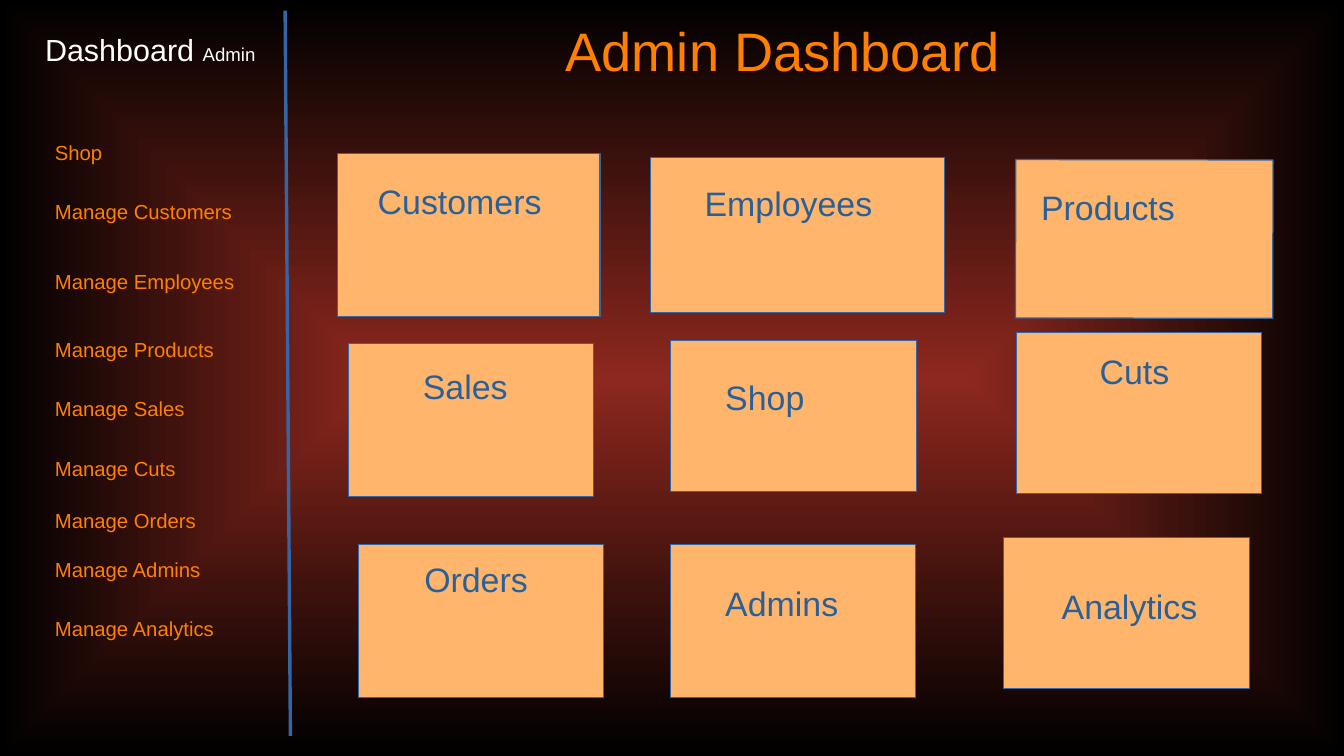
from lxml import etree
from pptx import Presentation
from pptx.dml.color import RGBColor
from pptx.enum.shapes import MSO_CONNECTOR, MSO_SHAPE
from pptx.enum.text import MSO_ANCHOR, MSO_AUTO_SIZE, PP_ALIGN
from pptx.oxml.ns import qn
from pptx.util import Cm, Pt

STRAIGHT = MSO_CONNECTOR.STRAIGHT
RECTANGLE = MSO_SHAPE.RECTANGLE
TOP = MSO_ANCHOR.TOP
NO_AUTOSIZE = MSO_AUTO_SIZE.NONE
LEFT = PP_ALIGN.LEFT

COLORS = {
    "glow": "8D281E",
    "edge": "000000",
    "accent": "FF8000",
    "card": "FFB66C",
    "outline": "3465A4",
    "label": "2A6099",
    "brand": "FFFFFF",
}
FONT = "Arial"

MENU = [
    ("Shop", 0),
    ("Manage Customers", 20.8),
    ("Manage Employees", 26.5),
    ("Manage Products", 25.8),
    ("Manage Sales", 20.8),
    ("Manage Cuts", 20.8),
    ("Manage Orders", 16.4),
    ("Manage Admins", 14.3),
    ("Manage Analytics", 20.8),
]

CARDS = [
    ("Customers", (7.04, 3.2, 5.46, 3.4), (7.62, 3.63, 4.11, 1.24), 0),
    ("Employees", (13.56, 3.28, 6.12, 3.23), (14.43, 3.68, 4.11, 1.24), 0),
    ("Products", (21.16, 3.33, 5.36, 3.3), (21.44, 3.76, 4.11, 1.24), 0.1),
    ("Sales", (7.26, 7.16, 5.11, 3.18), (8.56, 7.49, 2.29, 1.24), 0),
    ("Shop", (13.97, 7.09, 5.13, 3.15), (14.86, 7.72, 3.38, 1.83), 0),
    ("Cuts", (21.18, 6.93, 5.11, 3.35), (22.66, 7.19, 2.24, 1.12), 0),
    ("Orders", (7.47, 11.35, 5.11, 3.18), (8.59, 11.51, 2.69, 1.83), 0),
    ("Admins", (13.97, 11.35, 5.11, 3.18), (14.86, 12.01, 3.38, 1.83), 0),
    ("Analytics", (20.9, 11.2, 5.13, 3.15), (21.87, 12.07, 3.38, 1.83), 0),
]


def color(name):
    return RGBColor.from_string(COLORS[name])


class DashboardSlide:
    def __init__(self, slide):
        self.slide = slide

    def background(self):
        fill = self.slide.background.fill
        fill.gradient()
        for stop, name in zip(fill.gradient_stops, ("glow", "edge")):
            stop.color.rgb = color(name)
        direction = next(self.slide.element.iter(qn("a:lin")))
        center = etree.Element(qn("a:path"), {"path": "rect"})
        sides = dict.fromkeys("ltrb", "50000")
        etree.SubElement(center, qn("a:fillToRect"), sides)
        direction.getparent().replace(direction, center)

    def style_runs(self, paragraph, size, name):
        for run in paragraph.runs:
            run.font.name = FONT
            run.font.size = Pt(size)
            run.font.color.rgb = color(name)

    def place(self, holder, box):
        holder.left, holder.top, holder.width, holder.height = map(Cm, box)
        frame = holder.text_frame
        frame.word_wrap = True
        frame.auto_size = NO_AUTOSIZE
        frame.vertical_anchor = TOP
        return frame

    def title(self, wording, box):
        frame = self.place(self.slide.shapes.title, box)
        frame.text = wording
        frame.paragraphs[0].alignment = LEFT
        self.style_runs(frame.paragraphs[0], 32, "accent")

    def menu(self, entries, box):
        frame = self.place(self.slide.placeholders[1], box)
        frame.text = "\n".join(wording for wording, gap in entries)
        for paragraph, (wording, gap) in zip(frame.paragraphs, entries):
            paragraph.space_before = Pt(gap)
            self.style_runs(paragraph, 12, "accent")
            properties = paragraph._p.get_or_add_pPr()
            properties.set("marL", "0")
            properties.set("indent", "0")
            etree.SubElement(properties, qn("a:buNone"))

    def text(self, wording, box, size, name):
        label = self.slide.shapes.add_textbox(*map(Cm, box))
        frame = self.place(label, box)
        frame.text = wording
        self.style_runs(frame.paragraphs[0], size, name)
        return frame.paragraphs[0]

    def brand(self, heading, role, box):
        paragraph = self.text(heading, box, 18, "brand")
        paragraph.add_run().text = role
        self.style_runs(paragraph, 18, "brand")
        paragraph.runs[1].font.size = Pt(11)

    def divider(self, start, end):
        line = self.slide.shapes.add_connector(
            STRAIGHT, *map(Cm, start + end))
        line.line.color.rgb = color("outline")
        line.line.width = Pt(0)
        etree.SubElement(line._element.spPr, qn("a:effectLst"))

    def card(self, wording, box, label_box, rotation):
        panel = self.slide.shapes.add_shape(RECTANGLE, *map(Cm, box))
        panel.rotation = rotation
        panel.shadow.inherit = False
        panel.fill.solid()
        panel.fill.fore_color.rgb = color("card")
        panel.line.color.rgb = color("outline")
        panel.line.width = Pt(0)
        self.text(wording, label_box, 20, "label")


def main():
    deck = Presentation()
    deck.slide_width, deck.slide_height = Cm(28), Cm(15.75)
    dashboard = DashboardSlide(deck.slides.add_slide(deck.slide_layouts[1]))
    dashboard.background()
    dashboard.divider((5.94, 0.22), (6.05, 15.33))
    dashboard.title("Admin Dashboard", (11.53, 0.23, 9.88, 1.52))
    dashboard.brand("Dashboard ", "Admin", (0.69, 0.53, 4.93, 1.12))
    dashboard.menu(MENU, (0.89, 2.79, 4.6, 10.98))
    for card in CARDS:
        dashboard.card(*card)
    deck.save("out.pptx")


if __name__ == "__main__":
    main()
